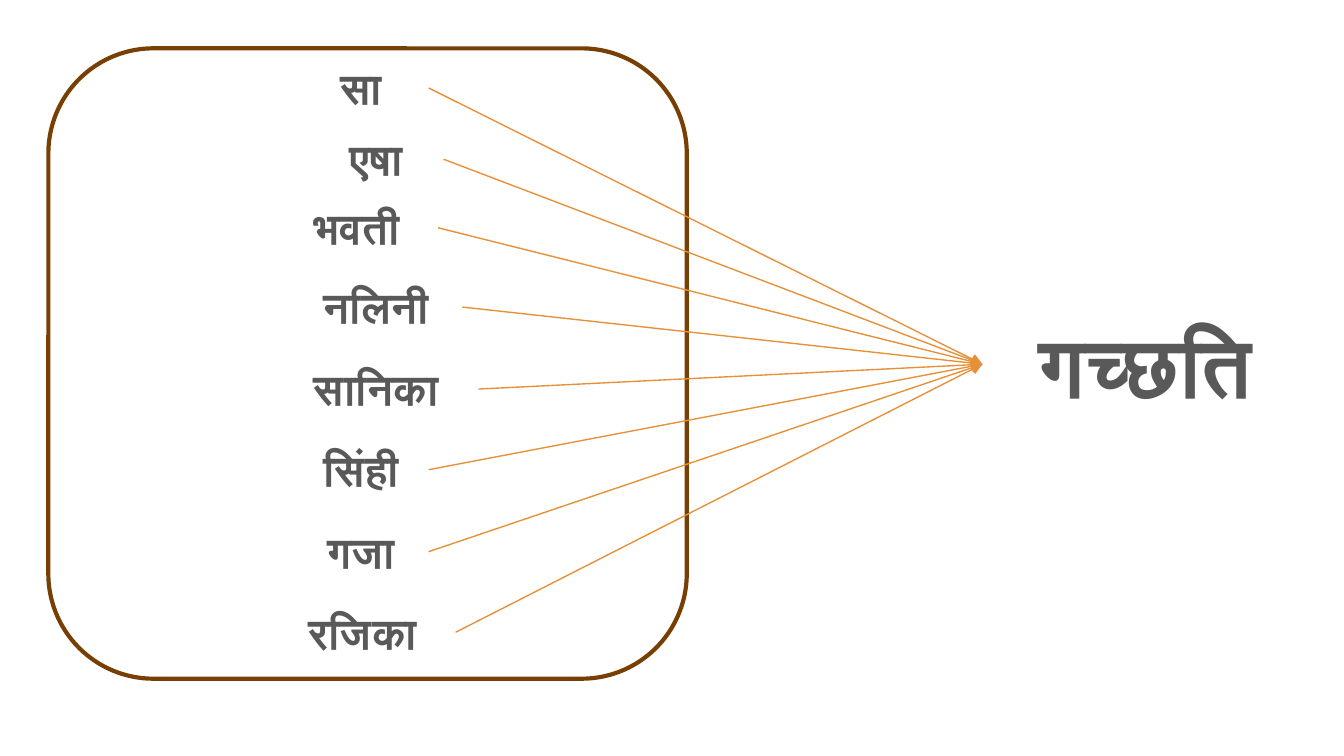
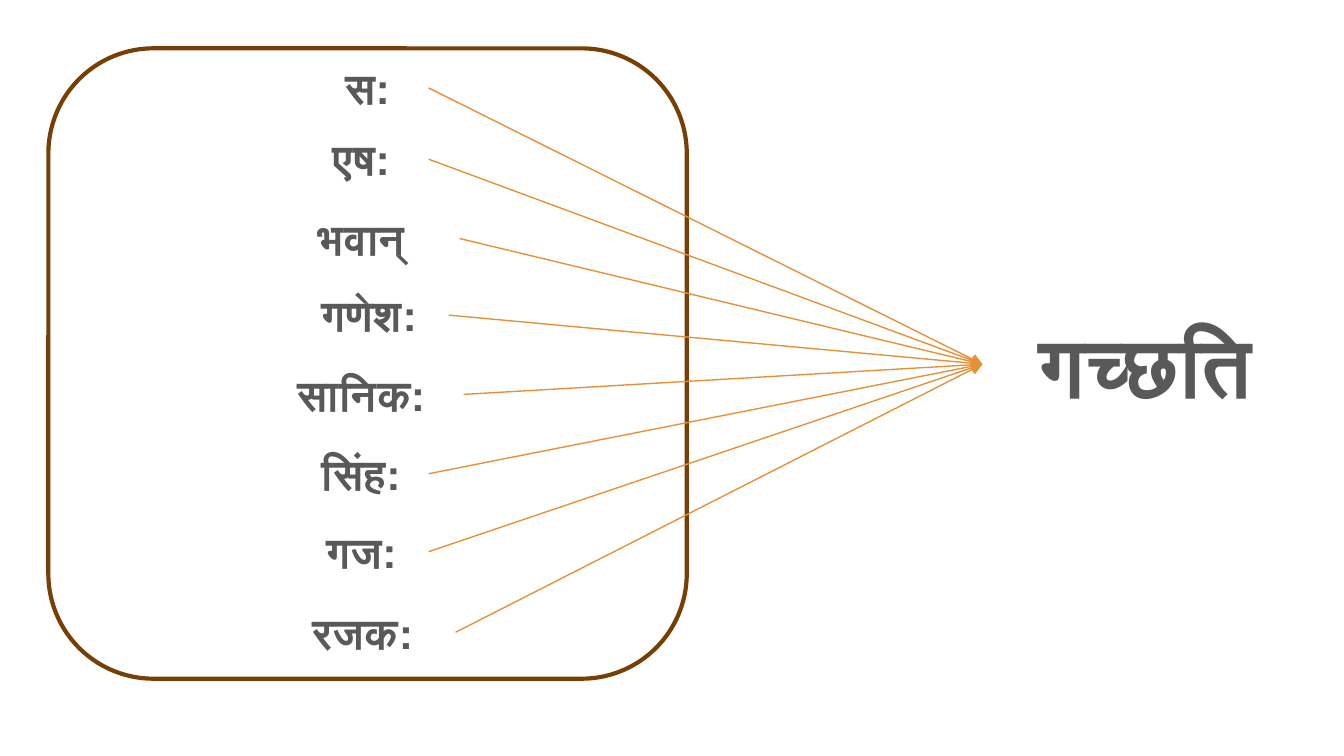
from dataclasses import dataclass

from lxml import etree
from pptx import Presentation
from pptx import util as u
from pptx.dml.color import RGBColor
from pptx.enum import shapes, text
from pptx.oxml import ns

# Slide grid: cells of a tenth of an inch
WIDTH, HEIGHT = u.Inches(10), u.Inches(5.625)
COLUMN, ROW = WIDTH / 100, HEIGHT / 56.25

# Shared style
WHITE = RGBColor(0xFF, 0xFF, 0xFF)
BROWN = RGBColor(0x78, 0x3F, 0x04)
ORANGE = RGBColor(0xE6, 0x91, 0x38)
GREY = RGBColor(0x59, 0x59, 0x59)
FONT = "Arial"
WORD_SIZE, VERB_SIZE = u.Pt(23), u.Pt(45)
INSET = u.Inches(0.1)
FRAME_FORMAT = {
    "word_wrap": True,
    "auto_size": text.MSO_AUTO_SIZE.SHAPE_TO_FIT_TEXT,
    "vertical_anchor": text.MSO_ANCHOR.TOP,
    "margin_left": INSET,
    "margin_top": INSET,
    "margin_bottom": INSET,
}
TITLE_ONLY = 5
TOP, LEFT, BOTTOM, RIGHT = range(4)


@dataclass(frozen=True)
class Area:
    """A rectangle in grid columns and rows."""
    left: float
    top: float
    width: float
    height: float

    def lengths(self) -> tuple[int, int, int, int]:
        return (round(self.left * COLUMN), round(self.top * ROW),
                round(self.width * COLUMN), round(self.height * ROW))


@dataclass(frozen=True)
class Subject:
    """A word that takes the verb; indent is extra right inset in columns."""
    label: str
    left: float
    top: float
    width: float = 9.1
    indent: float = 0.9

    def area(self) -> Area:
        return Area(self.left, self.top, self.width, 5.9)


GROUP = Area(3.6, 3.6, 47.5, 46.9)
VERB = "गच्छति"
VERB_AREA = Area(73.1, 22.3, 24.3, 9.6)

FEMININE = [
    Subject("सा", 22.8, 3.6),
    Subject("एषा", 23.9, 8.9),
    Subject("भवती", 22.3, 14, 10.3, indent=1.8),
    Subject("नलिनी", 22.5, 19.9, 11.9),
    Subject("सानिका", 21.3, 26, 14.3),
    Subject("सिंही", 22.8, 32),
    Subject("गजा", 22.8, 38.1),
    Subject("रजिका", 21, 44.1, 12.9),
]
MASCULINE = [
    Subject("स:", 22.8, 3.6, indent=0),
    Subject("एष:", 22.8, 8.9),
    Subject("भवान्", 20.5, 14.8, 13.7),
    Subject("गणेश:", 21.5, 20.5, 11.9, indent=0),
    Subject("सानिक:", 20.2, 26.4, 14.3),
    Subject("सिंह:", 22.8, 32.3),
    Subject("गज:", 22.8, 38.1),
    Subject("रजक:", 21, 44.1, 12.9),
]


def set_format(target, values: dict) -> None:
    for name, value in values.items():
        setattr(target, name, value)


def write(shape, label: str, size: int, indent: float = 0) -> None:
    """Put one centred bold line into a text shape."""
    frame = shape.text_frame
    set_format(frame, {**FRAME_FORMAT,
                       "margin_right": round(INSET + indent * COLUMN)})
    paragraph = frame.paragraphs[0]
    paragraph.alignment = text.PP_ALIGN.CENTER
    run = paragraph.add_run()
    run.text = label
    set_format(run.font, {"name": FONT, "size": size, "bold": True})
    run.font.color.rgb = GREY
    # Devanagari takes its typeface from the complex-script font
    etree.SubElement(run.font._element, ns.qn("a:cs"), typeface=FONT)


def add_group(slide) -> None:
    shape = slide.shapes.add_shape(
        shapes.MSO_SHAPE.ROUNDED_RECTANGLE, *GROUP.lengths())
    shape.shadow.inherit = False
    shape.fill.solid()
    shape.fill.fore_color.rgb = WHITE
    shape.line.color.rgb = BROWN
    shape.line.width = u.Pt(2.25)


def add_verb(slide):
    """Use the title placeholder for the verb."""
    title = slide.shapes.title
    set_format(title, dict(zip(("left", "top", "width", "height"),
                               VERB_AREA.lengths())))
    write(title, VERB, VERB_SIZE)
    return title


def add_subject(slide, subject: Subject):
    box = slide.shapes.add_textbox(*subject.area().lengths())
    write(box, subject.label, WORD_SIZE, subject.indent)
    return box


def add_arrow(slide, start, end) -> None:
    """Join the right side of one shape to the left side of another."""
    arrow = slide.shapes.add_connector(
        shapes.MSO_CONNECTOR.STRAIGHT, 0, 0, 0, 0)
    arrow.begin_connect(start, RIGHT)
    arrow.end_connect(end, LEFT)
    arrow.line.color.rgb = ORANGE
    arrow.line.width = u.Pt(0.75)
    etree.SubElement(arrow.line._get_or_add_ln(), ns.qn("a:tailEnd"),
                     type="triangle")
    etree.SubElement(arrow._element.spPr, ns.qn("a:effectLst"))


def add_verb_slide(presentation, subjects: list[Subject]) -> None:
    slide = presentation.slides.add_slide(
        presentation.slide_layouts[TITLE_ONLY])
    add_group(slide)
    verb = add_verb(slide)
    boxes = [add_subject(slide, subject) for subject in subjects]
    for box in boxes:
        add_arrow(slide, box, verb)


def main() -> None:
    presentation = Presentation()
    set_format(presentation, {"slide_width": WIDTH, "slide_height": HEIGHT})
    for subjects in (FEMININE, MASCULINE):
        add_verb_slide(presentation, subjects)
    presentation.save("out.pptx")


if __name__ == "__main__":
    main()
